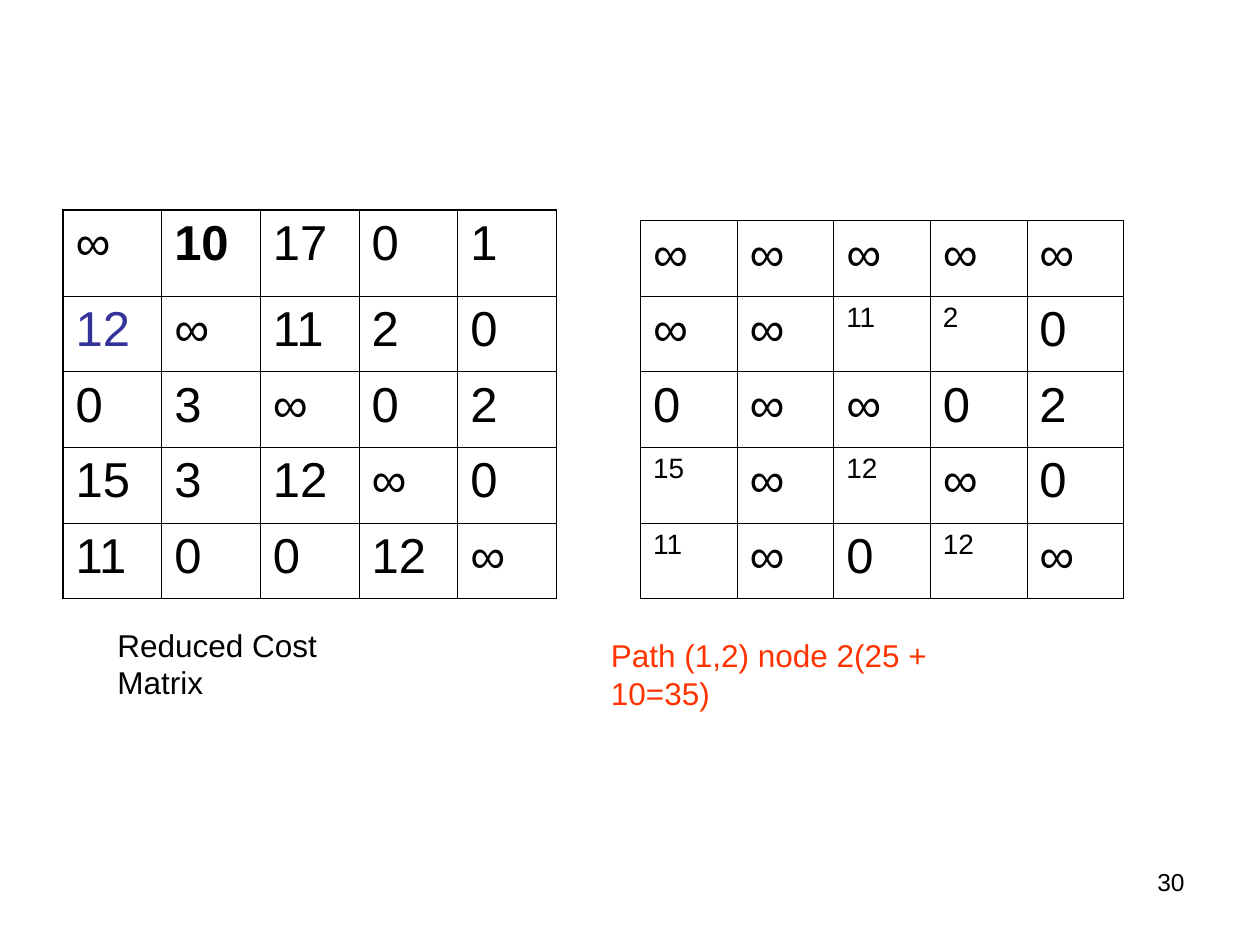
from lxml import etree
from pptx import Presentation
from pptx.dml.color import RGBColor
from pptx.enum.text import MSO_AUTO_SIZE, PP_ALIGN
from pptx.oxml.ns import qn
from pptx.util import Pt

LEFT, RIGHT = PP_ALIGN.LEFT, PP_ALIGN.RIGHT
FIT_SHAPE, NO_FIT = MSO_AUTO_SIZE.SHAPE_TO_FIT_TEXT, MSO_AUTO_SIZE.NONE

COLORS = {"black": "000000", "blue": "333399", "red": "FF3300"}
THIN, THICK = 0.45, 1.08
CELL = {"size": Pt(28), "name": "Arial", "bold": False}
CAPTION = {"size": Pt(18), "name": "Arial"}
NUMBER = {"size": Pt(14), "name": "Arial"}
SMALL = {"size": Pt(16)}

REDUCED = [
    "∞ 10 17 0 1",
    "12 ∞ 11 2 0",
    "0 3 ∞ 0 2",
    "15 3 12 ∞ 0",
    "11 0 0 12 ∞",
]
PATH_1_2 = [
    "∞ ∞ ∞ ∞ ∞",
    "∞ ∞ 11 2 0",
    "0 ∞ ∞ 0 2",
    "15 ∞ 12 ∞ 0",
    "11 ∞ 0 12 ∞",
]
REDUCED_MARKS = {(0, 1): {"bold": True}, (1, 0): {"color": "blue"}}
PATH_MARKS = dict.fromkeys([(1, 2), (1, 3), (3, 0), (3, 2), (4, 0), (4, 3)], SMALL)


def write(tf, text, fmt, color="black", align=LEFT):
    p = tf.paragraphs[0]
    p.alignment = align
    r = p.add_run()
    r.text = text
    for key, value in fmt.items():
        setattr(r.font, key, value)
    r.font.color.rgb = RGBColor.from_string(COLORS[color])


def add_text(s, x, y, w, h, text, fmt, color="black", align=LEFT, wrap=False):
    tf = s.shapes.add_textbox(Pt(x), Pt(y), Pt(w), Pt(h)).text_frame
    tf.word_wrap = wrap
    tf.auto_size = NO_FIT if wrap else FIT_SHAPE
    write(tf, text, fmt, color, align)


def add_borders(cell, widths):
    tcPr = cell._tc.get_or_add_tcPr()
    for side, width in widths.items():
        ln = etree.SubElement(tcPr, qn(f"a:ln{side}"), w=str(Pt(width)))
        fill = etree.SubElement(ln, qn("a:solidFill"))
        etree.SubElement(fill, qn("a:srgbClr"), val=COLORS["black"])


def add_matrix(s, x, y, col_width, row_heights, rows, marks):
    grid = [row.split() for row in rows]
    n = len(grid)
    frame = s.shapes.add_table(n, n, Pt(x), Pt(y), Pt(n * col_width), Pt(sum(row_heights)))
    table = frame.table
    table.first_row = table.horz_banding = False
    for col in table.columns:
        col.width = Pt(col_width)
    for row, height in zip(table.rows, row_heights):
        row.height = Pt(height)
    for i, values in enumerate(grid):
        for j, value in enumerate(values):
            cell = table.cell(i, j)
            edges = {"L": j == 0, "R": j == n - 1, "T": i == 0, "B": i == n - 1}
            add_borders(cell, {k: THICK if outer else THIN for k, outer in edges.items()})
            cell.fill.background()
            fmt = {**CELL, **marks.get((i, j), {})}
            color = fmt.pop("color", "black")
            write(cell.text_frame, value, fmt, color)


def main():
    prs = Presentation()
    prs.slide_width, prs.slide_height = Pt(720), Pt(540)
    s = prs.slides.add_slide(prs.slide_layouts[6])
    add_text(s, 516, 492, 168, 37.5, "30", NUMBER, align=RIGHT, wrap=True)
    add_matrix(s, 36, 120, 56.4, [49.2] + [43.2] * 4, REDUCED, REDUCED_MARKS)
    add_text(s, 60, 354, 182, 29, "Reduced Cost Matrix", CAPTION)
    add_matrix(s, 366, 126, 55.2, [43.2] * 5, PATH_1_2, PATH_MARKS)
    add_text(s, 342, 360, 256, 29, "Path (1,2) node 2(25 + 10=35)", CAPTION, "red")
    prs.save("out.pptx")


if __name__ == "__main__":
    main()
